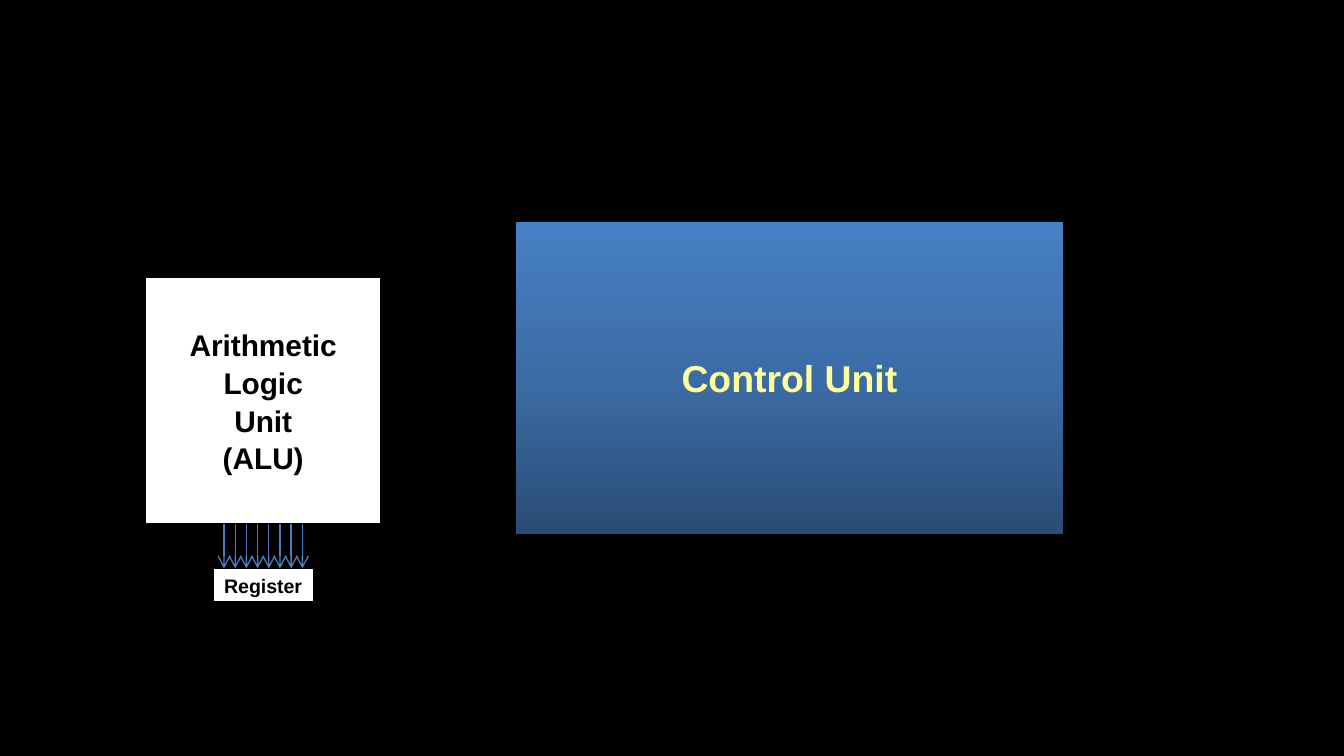
import copy

import pptx
import pptx.dml.color
import pptx.enum.shapes
import pptx.enum.text
import pptx.oxml
import pptx.oxml.ns
import pptx.util

PX = 9525  # EMU per px, 96 px to the inch
COLORS = {
    "black": "000000",
    "white": "FFFFFF",
    "yellow": "FFFF99",
    "wire": "4B7EBC",
}
GRADIENT = [(0, "2A4C75"), (0.5, "3C6CA6"), (1, "4780C5")]
A_NS = pptx.oxml.ns.nsdecls("a")
rgb = pptx.dml.color.RGBColor.from_string


def add_box(text, x, y, w, h, size, color="black", spacing=1.0, wrap=True):
    """Add a white rectangle with bold centred text, one paragraph a line."""
    sp = slide.shapes.add_shape(
        pptx.enum.shapes.MSO_SHAPE.RECTANGLE, x * PX, y * PX, w * PX, h * PX)
    sp.shadow.inherit = False
    sp.fill.solid()
    sp.fill.fore_color.rgb = rgb(COLORS["white"])
    sp.line.color.rgb = rgb(COLORS["black"])
    sp.line.width = pptx.util.Pt(0.75)
    tf = sp.text_frame
    tf.word_wrap = wrap
    tf.vertical_anchor = pptx.enum.text.MSO_ANCHOR.MIDDLE
    tf.text = text
    for p in tf.paragraphs:
        p.alignment = pptx.enum.text.PP_ALIGN.CENTER
        p.line_spacing = spacing
        for r in p.runs:
            r.font.name = "Arial"
            r.font.size = pptx.util.Pt(size)
            r.font.bold = True
            r.font.color.rgb = rgb(COLORS[color])
    return sp


prs = pptx.Presentation()
prs.slide_width = 960 * PX
prs.slide_height = 540 * PX
slide = prs.slides.add_slide(prs.slide_layouts[6])
slide.background.fill.solid()
slide.background.fill.fore_color.rgb = rgb(COLORS["black"])

# Control unit, shaded from dark at the bottom to light at the top
control = add_box("Control Unit", 368, 158, 392, 224, 20, color="yellow")
control.fill.gradient()
control.fill.gradient_angle = 90
stops = control._element.spPr.find(".//" + pptx.oxml.ns.qn("a:gsLst"))
stops.insert(1, copy.deepcopy(stops[0]))
for stop, (position, color) in zip(control.fill.gradient_stops, GRADIENT):
    stop.position = position
    stop.color.rgb = rgb(color)

# Eight data lines from the ALU down to the register
for i in range(8):
    x = (160 + 8 * i) * PX
    line = slide.shapes.add_connector(
        pptx.enum.shapes.MSO_CONNECTOR.STRAIGHT, x, 406 * PX, x, 374 * PX)
    line.line.color.rgb = rgb(COLORS["wire"])
    line.line.width = pptx.util.Pt(0.75)
    line.line._get_or_add_ln().append(
        pptx.oxml.parse_xml(f'<a:headEnd {A_NS} type="arrow"/>'))
    line._element.spPr.append(pptx.oxml.parse_xml(f"<a:effectLst {A_NS}/>"))

# ALU and register
add_box("Arithmetic\nLogic\nUnit\n(ALU)", 104, 198, 168, 176, 16, spacing=1.05)
add_box("Register", 152, 406, 72, 24, 10.5, wrap=False)

prs.save("out.pptx")
